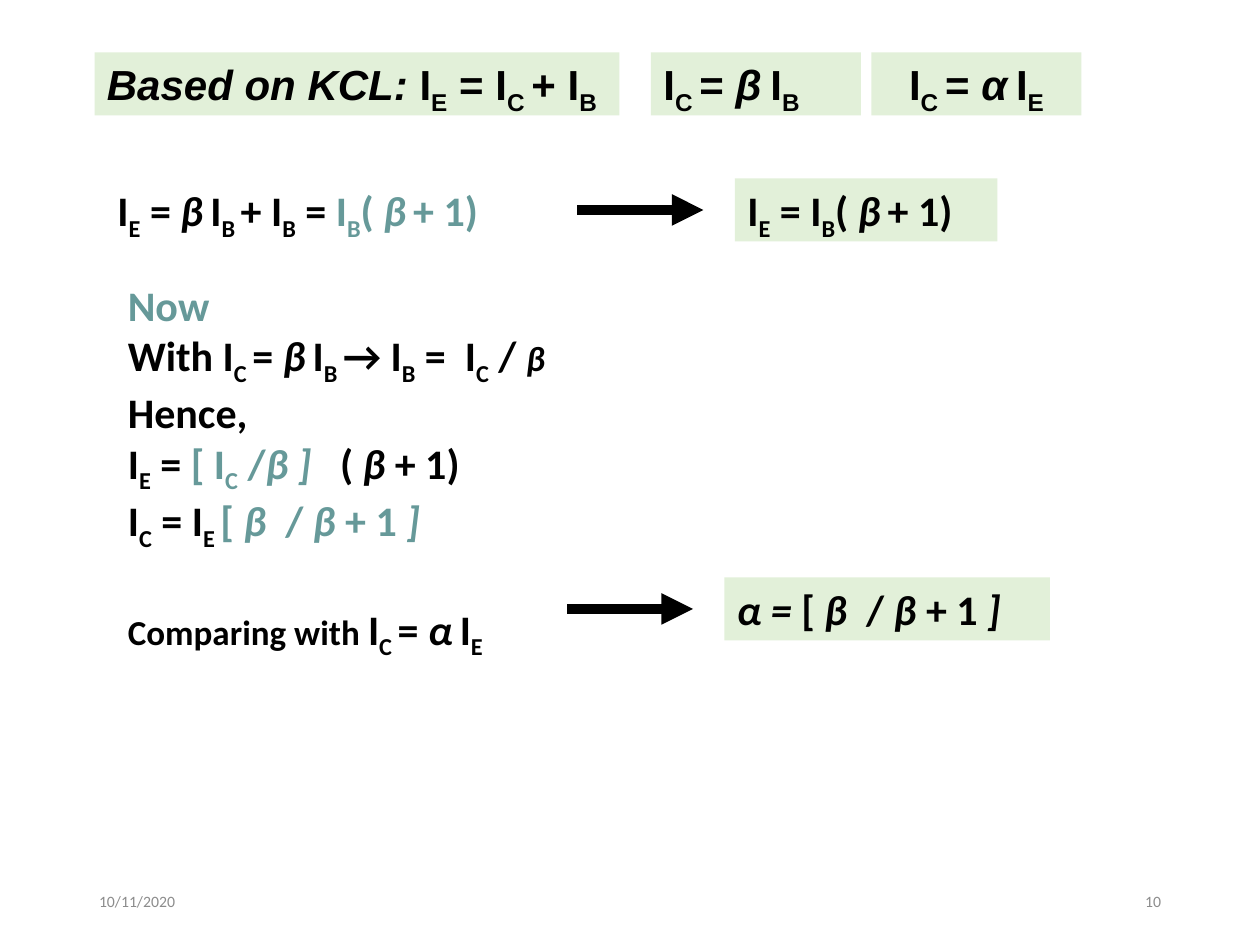
from pptx import Presentation
from pptx.dml.color import RGBColor
from pptx.enum.shapes import MSO_CONNECTOR as Connector, MSO_SHAPE as Shape
from pptx.enum.text import MSO_ANCHOR as Anchor, PP_ALIGN as Align
from pptx.oxml.ns import qn
from pptx.util import Pt
from lxml import etree

BLACK, TEAL, GREEN, GREY = "000000", "669999", "E2F0D9", "8C8C8C"


def colour(value):
    return RGBColor.from_string(value)


def write(box, lines, font="Calibri", size=24, ink=BLACK, bold=True,
          align=Align.LEFT, anchor=Anchor.TOP):
    """Spans are split by "|"; flags after "~": s subscript, i italic,
    t teal, m 20 pt, n 18 pt and not bold."""
    frame = box.text_frame
    frame.word_wrap = True
    frame.vertical_anchor = anchor
    for number, line in enumerate(lines):
        para = frame.paragraphs[0] if number == 0 else frame.add_paragraph()
        para.alignment = align
        for piece in line.split("|"):
            text, _, flags = piece.partition("~")
            span = para.add_run()
            span.text = text
            span.font.name = font
            span.font.size = Pt(18 if "n" in flags else 20 if "m" in flags else size)
            span.font.bold = bold and "n" not in flags
            span.font.italic = "i" in flags
            span.font.color.rgb = colour(TEAL if "t" in flags else ink)
            if "s" in flags:
                span._r.get_or_add_rPr().set("baseline", "-25000")


deck = Presentation()
deck.slide_width, deck.slide_height = Pt(720), Pt(540)
page = deck.slides.add_slide(deck.slide_layouts[6])

# Green formula boxes
formulas = [
    (54, 30, 300, "Arial", Align.LEFT,
     "Based on KCL: ~i|I|E~s| = I|C ~s|+ I|B~s"),
    (372, 30, 120, "Arial", Align.LEFT, "I|C ~s|= |β~i| ~n|I|B~s"),
    (498, 30, 120, "Arial", Align.CENTER, "I|C ~s|= |α~i| ~n|I|E~s"),
    (420, 102, 150, "Calibri", Align.LEFT, "I|E~s| = I|B~s|( |β~i| ~n|+ 1)"),
    (414, 330, 186, "Calibri", Align.LEFT,
     "α = ~i|[ |β  ~i|/ |β ~i|+ 1 |]~i"),
]
for left, top, width, font, align, formula in formulas:
    box = page.shapes.add_shape(Shape.RECTANGLE, Pt(left), Pt(top), Pt(width), Pt(36))
    box.shadow.inherit = False
    box.fill.solid()
    box.fill.fore_color.rgb = colour(GREEN)
    box.line.fill.background()
    write(box, [formula], font=font, align=align)

# Emitter current
emitter = page.shapes.add_textbox(Pt(60), Pt(102), Pt(384), Pt(65))
write(emitter, ["I|E~s| = |β~i| ~n|I|B ~s|+ I|B~s| = |I~t|B~st|( ~t|β~it| ~n|+ 1)~t"])

# Derivation
derivation = page.shapes.add_textbox(Pt(66), Pt(156), Pt(360), Pt(209))
write(derivation, [
    "Now~t",
    "With I|C ~s|= |β~i| ~n|I|B ~s|→ I|B~s| =  I|C~s| / |β~im",
    "Hence,",
    "I|E~s| = |[ I~t|C~st| /~t|β ]   ~it|( |β ~i|+ 1)",
    "I|C~s| = I|E ~s|[ ~t|β  ~it|/ ~t|β ~it|+ 1 ~t|]~it",
    "Comparing with ~m|I|C ~s|= |α~i| ~n|I|E~s",
])
derivation.text_frame.paragraphs[-1].space_before = Pt(29.3)

# Arrows to the results
for left, top in [(330, 120), (324, 348)]:
    arrow = page.shapes.add_connector(
        Connector.STRAIGHT, Pt(left), Pt(top), Pt(left + 72), Pt(top))
    arrow.line.color.rgb = colour(BLACK)
    arrow.line.width = Pt(6)
    etree.SubElement(arrow.line._get_or_add_ln(), qn("a:tailEnd"), type="triangle")
    etree.SubElement(arrow._element.spPr, qn("a:effectLst"))

# Date and page number
for left, text, align in [(49.5, "10/11/2020", Align.LEFT), (508.5, "10", Align.RIGHT)]:
    footer = page.shapes.add_textbox(Pt(left), Pt(500.5), Pt(162), Pt(28.75))
    write(footer, [text], size=9, ink=GREY, bold=False, align=align, anchor=Anchor.MIDDLE)

deck.save("out.pptx")
